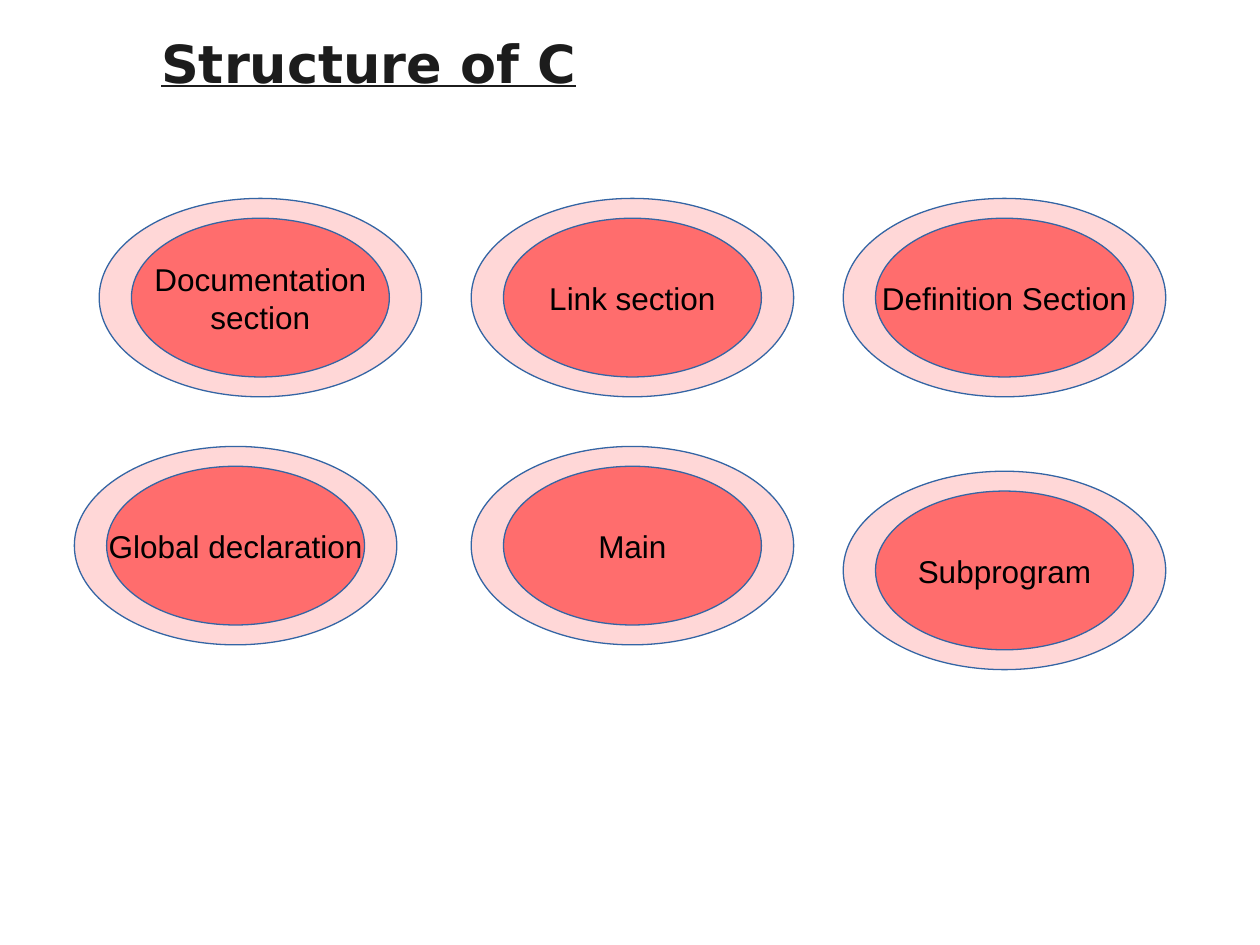
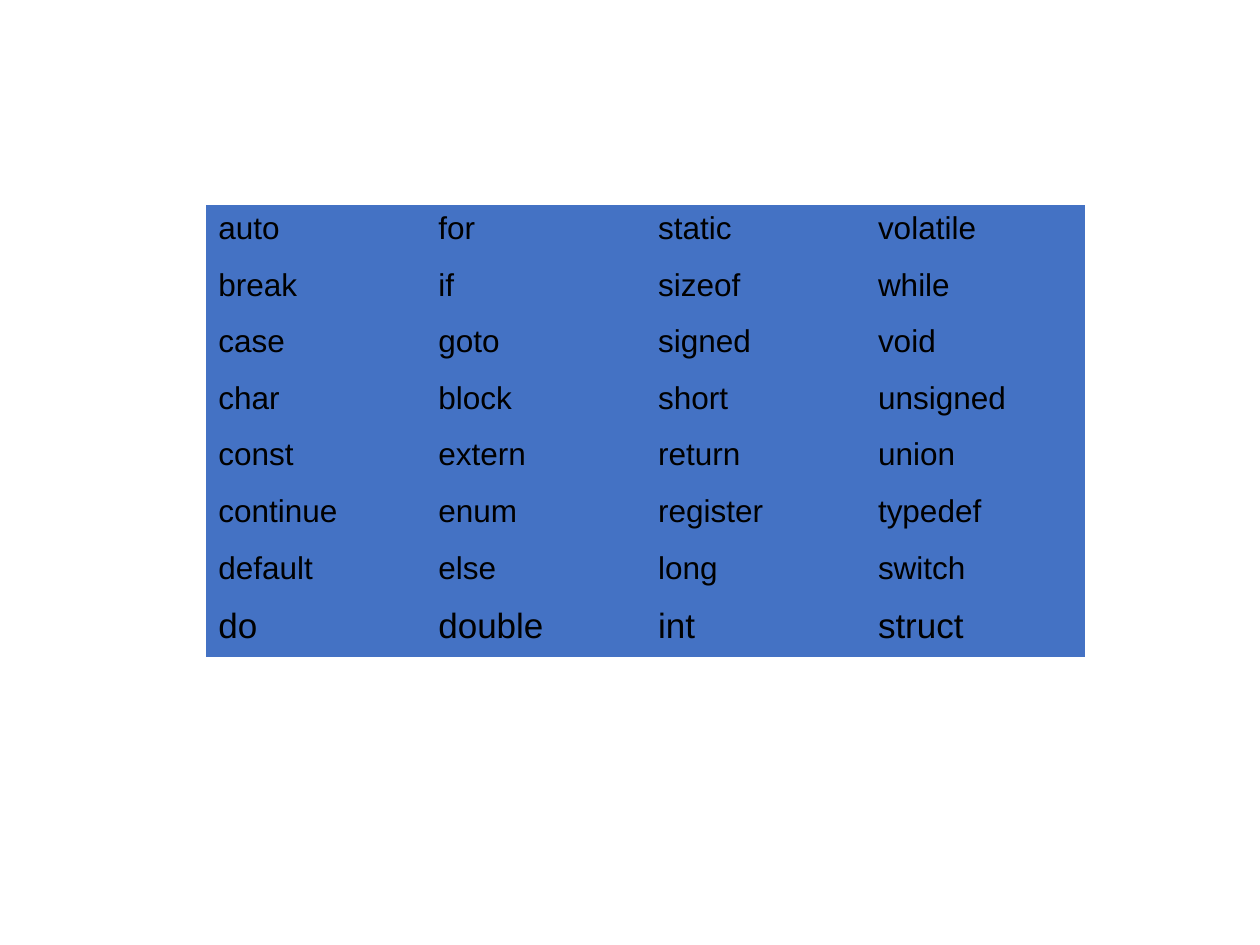
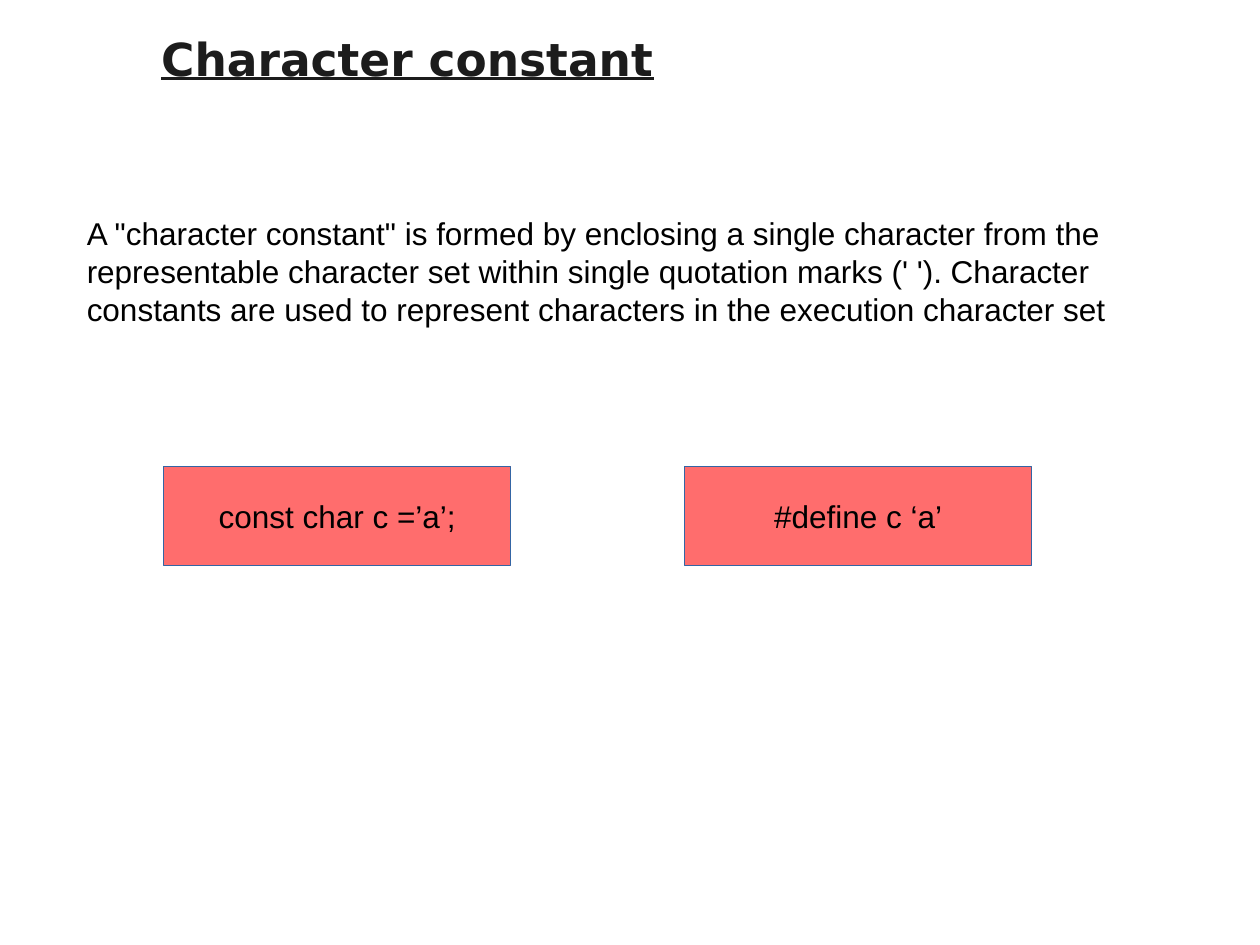
from dataclasses import dataclass

from pptx import Presentation
from pptx.dml.color import RGBColor
from pptx.enum.shapes import MSO_SHAPE
from pptx.enum.text import MSO_ANCHOR, PP_ALIGN
from pptx.oxml.ns import qn
from pptx.presentation import Presentation as Deck
from pptx.shapes.autoshape import Shape
from pptx.slide import Slide
from pptx.text.text import TextFrame
from pptx.util import Inches, Length, Pt

UNIT = Inches(10 / 25.4)  # the slide is 25.4 grid columns wide
BODY_FONT, TITLE_FONT = "Arial", "DejaVu Sans"
BLACK, TITLE_INK = "000000", "1C1C1C"
RED, PALE_RED, OUTLINE, BLUE = "FF6D6D", "FFD7D7", "3465A4", "4472C4"
NO_STYLE_NO_GRID = "{2D5ABB26-0587-4C30-8999-92F81FD0307C}"


@dataclass(frozen=True)
class Area:
    """A rectangle in grid columns and rows."""

    column: float
    row: float
    columns: float
    rows: float

    def lengths(self) -> list[Length]:
        sides = (self.column, self.row, self.columns, self.rows)
        return [Length(round(side * UNIT)) for side in sides]

    def shrunk(self, share: float) -> "Area":
        """The same centre, with both sides scaled by share."""
        margin = (1 - share) / 2
        return Area(
            self.column + self.columns * margin,
            self.row + self.rows * margin,
            self.columns * share,
            self.rows * share,
        )


@dataclass(frozen=True)
class Section:
    name: str
    column: float
    row: float


SECTIONS = (
    Section("Documentation\nsection", 2, 4),
    Section("Link section", 9.5, 4),
    Section("Definition Section", 17, 4),
    Section("Global declaration", 1.5, 9),
    Section("Main", 9.5, 9),
    Section("Subprogram", 17, 9.5),
)
KEYWORDS = (
    "auto for static volatile",
    "break if sizeof while",
    "case goto signed void",
    "char block short unsigned",
    "const extern return union",
    "continue enum register typedef",
    "default else long switch",
    "do double int struct",
)
DEFINITION = (
    'A "character constant" is formed by enclosing a single character from the '
    "representable character set within single quotation marks (' '). Character "
    "constants are used to represent characters in the execution character set"
)
EXAMPLES = ("const char c =’a’;", "#define c ‘a’")


def color(code: str) -> RGBColor:
    return RGBColor.from_string(code)


def write(frame: TextFrame, text: str, size: float = 18, font: str = BODY_FONT,
          ink: str = BLACK, heading: bool = False,
          align: PP_ALIGN = PP_ALIGN.LEFT) -> None:
    frame.text = text
    for para in frame.paragraphs:
        para.alignment = align
        para.font.name = font
        para.font.size = Pt(size)
        para.font.color.rgb = color(ink)
        para.font.bold = para.font.underline = heading


def add_text(page: Slide, area: Area) -> TextFrame:
    frame = page.shapes.add_textbox(*area.lengths()).text_frame
    frame.word_wrap = True
    return frame


def add_title(page: Slide, text: str, size: float, columns: float, rows: float) -> None:
    frame = add_text(page, Area(3, 0.5, columns, rows))
    write(frame, text, size, TITLE_FONT, TITLE_INK, heading=True)


def add_outlined(shapes, kind: MSO_SHAPE, area: Area, fill: str, text: str = "") -> Shape:
    """A filled shape with a hairline, on a page or in a group."""
    shape = shapes.add_shape(kind, *area.lengths())
    shape.shadow.inherit = False
    shape.fill.solid()
    shape.fill.fore_color.rgb = color(fill)
    shape.line.color.rgb = color(OUTLINE)
    shape.line.width = 0
    if text:
        frame = shape.text_frame
        frame.word_wrap = False
        frame.vertical_anchor = MSO_ANCHOR.MIDDLE
        write(frame, text, align=PP_ALIGN.CENTER)
    return shape


def add_page(deck: Deck) -> Slide:
    return deck.slides.add_slide(deck.slide_layouts[6])


def build_structure(deck: Deck) -> None:
    page = add_page(deck)
    for section in SECTIONS:
        ring = Area(section.column, section.row, 6.5, 4)
        group = page.shapes.add_group_shape()
        add_outlined(group.shapes, MSO_SHAPE.OVAL, ring, PALE_RED)
        add_outlined(group.shapes, MSO_SHAPE.OVAL, ring.shrunk(0.8), RED, section.name)
    add_title(page, "Structure of C", 30, 25, 2.13)


def build_keywords(deck: Deck) -> None:
    page = add_page(deck)
    rows = [line.split() for line in KEYWORDS]
    area = Area(4.15, 4.13, 17.73, 9.12)
    frame = page.shapes.add_table(len(rows), len(rows[0]), *area.lengths())
    table = frame.table
    table.first_row = table.horz_banding = False
    for style in frame.element.iter(qn("a:tableStyleId")):
        style.text = NO_STYLE_NO_GRID
    for row, words in enumerate(rows):
        size = 20 if row == len(rows) - 1 else 18
        for column, word in enumerate(words):
            cell = table.cell(row, column)
            cell.fill.solid()
            cell.fill.fore_color.rgb = color(BLUE)
            write(cell.text_frame, word, size)


def build_character_constant(deck: Deck) -> None:
    page = add_page(deck)
    write(add_text(page, Area(1.5, 4.2, 22.3, 2.54)), DEFINITION)
    for place, example in enumerate(EXAMPLES):
        area = Area(3.3 + 10.5 * place, 9.4, 7, 2)
        add_outlined(page.shapes, MSO_SHAPE.RECTANGLE, area, RED, example)
    add_title(page, "Character constant", 26, 10.5, 1.75)


def main() -> None:
    deck = Presentation()
    deck.slide_width, deck.slide_height = Inches(10), Inches(7.5)
    build_structure(deck)
    build_keywords(deck)
    build_character_constant(deck)
    deck.save("out.pptx")


if __name__ == "__main__":
    main()
